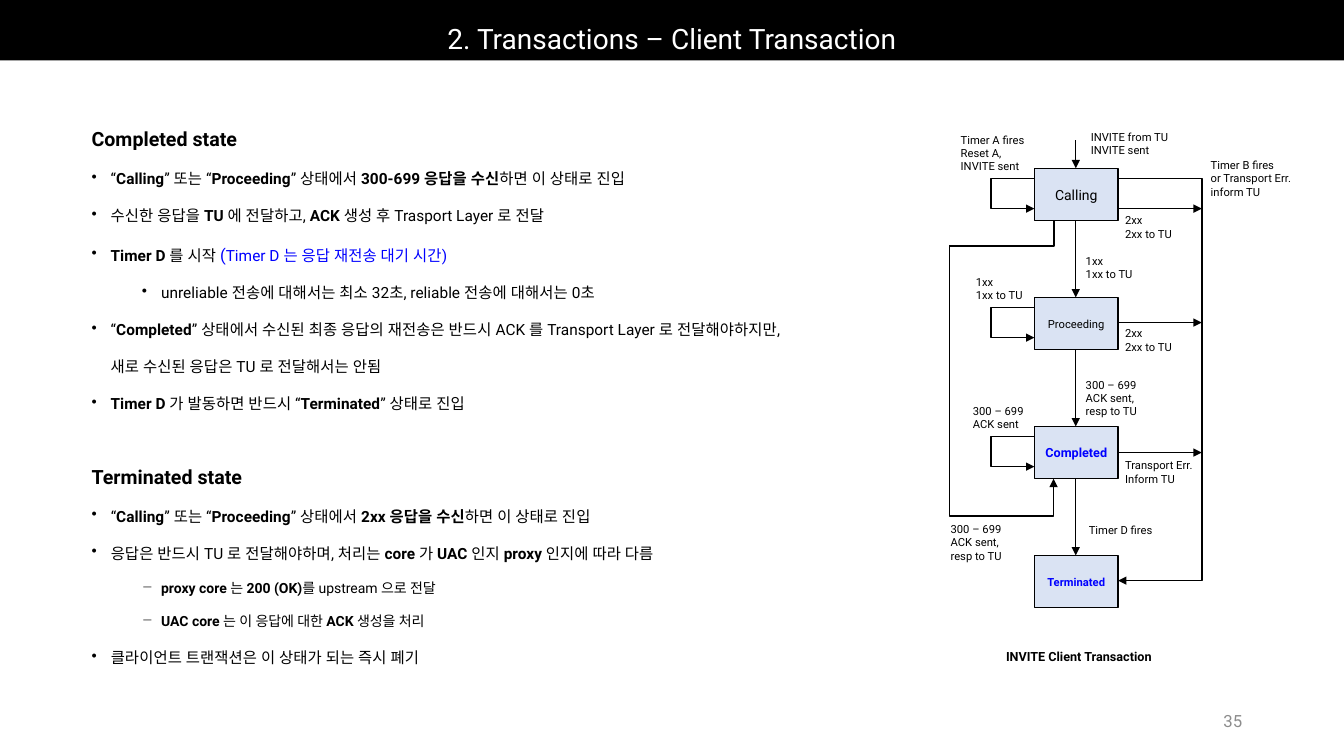
import pptx
import pptx.util
import pptx.dml.color
import pptx.enum.shapes
import pptx.enum.text
import pptx.oxml
from lxml import etree
from pptx.oxml.ns import qn

THEME = {
    "font": "Roboto", "hangul": "Noto Sans CJK KR",
    "black": "000000", "white": "FFFFFF", "blue": "0000FF", "grey": "8C8C8C", "box": "DAE3F3",
    "title": 20, "heading": 14, "body": 11, "detail": 10, "number": 12,
    "label": 8, "caption": 9, "line": 1,
}

TITLE = "2. Transactions – Client Transaction"
CAPTION = "INVITE Client Transaction"
PAGE = "35"

# Bullet style: (left margin, bullet sign, size, font)
BULLETS = {
    "point": (0.19, "•", "body", "font"),
    "sub": (0.69, "•", "body", "font"),
    "dash": (0.69, "−", "detail", "font"),
    "hangul": (0.19, "•", "body", "hangul"),
}
# Stars enclose bold words; further entries are blue runs with their size
SECTIONS = [
    ("Completed state", (0.81, 0.98, 7.27, 3.15), False, [
        ("point", "“*Calling*” 또는 “*Proceeding*” 상태에서 *300-699 응답을 수신*하면 이 상태로 진입"),
        ("point", "수신한 응답을 *TU *에 전달하고, *ACK *생성 후 Trasport Layer 로 전달"),
        ("point", "*Timer D *를 시작 ", ("(", "number"), ("Timer D 는 응답 재전송 대기 시간)", "body")),
        ("sub", "unreliable 전송에 대해서는 최소 32초, reliable 전송에 대해서는 0초"),
        ("point", "“*Completed*” 상태에서 수신된 최종 응답의 재전송은 반드시 ACK 를 "
                  "Transport Layer 로 전달해야하지만,\n새로 수신된 응답은 TU 로 전달해서는 안됨"),
        ("point", "*Timer D *가 발동하면 반드시 “*Terminated*” 상태로 진입"),
    ]),
    ("Terminated state", (0.81, 4.33, 5.99, 2.38), True, [
        ("point", "“*Calling*” 또는 “*Proceeding*” 상태에서 *2xx 응답을 수신*하면 이 상태로 진입"),
        ("point", "응답은 반드시 TU 로 전달해야하며, 처리는 *core *가 *UAC *인지 *proxy *인지에 따라 다름"),
        ("dash", "*proxy core *는 *200 (OK)*를 upstream 으로 전달"),
        ("dash", "*UAC core *는 이 응답에 대한 *ACK *생성을 처리"),
        ("hangul", "클라이언트 트랜잭션은 이 상태가 되는 즉시 폐기"),
    ]),
]

# (name, size, colour, bold), from top to bottom
STATES = [
    ("Calling", "detail", "black", False),
    ("Proceeding", "label", "black", False),
    ("Completed", "caption", "blue", True),
    ("Terminated", "label", "blue", True),
]
# (left, top, width, lines)
LABELS = [
    (10.72, 1.24, 0.98, ["INVITE from TU", "INVITE sent"]),
    (9.43, 1.27, 0.85, ["Timer A fires", "Reset A,", "INVITE sent"]),
    (10.67, 2.47, 0.68, ["1xx", "1xx to TU"]),
    (9.58, 2.68, 0.68, ["1xx", "1xx to TU"]),
    (10.67, 3.7, 0.72, ["300 – 699", "ACK sent,", "resp to TU"]),
    (10.7, 5.14, 0.85, ["Timer D fires"]),
    (9.55, 3.96, 0.71, ["300 – 699", "ACK sent"]),
    (11.91, 1.52, 1.02, ["Timer B fires", "or Transport Err.", "inform TU"]),
    (11.06, 2.07, 0.68, ["2xx", "2xx to TU"]),
    (11.06, 3.19, 0.68, ["2xx", "2xx to TU"]),
    (11.06, 4.5, 0.89, ["Transport Err.", "Inform TU"]),
    (9.33, 5.13, 0.72, ["300 – 699", "ACK sent,", "resp to TU"]),
]

# Columns and rows of the state diagram
BOX_LEFT, BOX_WIDTH, BOX_HEIGHT = 10.26, 0.83, 0.52
BOX_RIGHT = BOX_LEFT + BOX_WIDTH
ROWS = [1.67 + 1.28 * row for row in range(len(STATES))]
FLOW_X, BYPASS_X, DETOUR_X, EXIT_X = 10.67, 10.45, 9.42, 11.92
LOOP_DROP, LOOP_HEIGHT = 0.1, 0.3
EXIT_ROWS = [2.07, 3.2, 4.49]

Inches = pptx.util.Inches
Align = pptx.enum.text.PP_ALIGN
Anchor = pptx.enum.text.MSO_ANCHOR
Kind = pptx.enum.shapes.MSO_CONNECTOR


def colour(name):
    return pptx.dml.color.RGBColor.from_string(THEME[name])


def add_run(paragraph, text, size, ink="black", bold=False, font="font"):
    """Add one run; a line feed in the text becomes a line break."""
    for index, part in enumerate(text.split("\n")):
        if index:
            paragraph.add_line_break()
        run = paragraph.add_run()
        run.text = part
        run.font.size = pptx.util.Pt(THEME[size])
        run.font.name = THEME[font]
        run.font.bold = bold
        run.font.color.rgb = colour(ink)
        etree.SubElement(run.font._element, qn("a:ea"), typeface=THEME["font"])


def add_text(slide, place, wrap=False):
    frame = slide.shapes.add_textbox(*map(Inches, place)).text_frame
    frame.word_wrap = wrap
    frame.auto_size = pptx.enum.text.MSO_AUTO_SIZE.SHAPE_TO_FIT_TEXT
    return frame


def add_box(slide, place, fill, outline=None):
    box = slide.shapes.add_shape(pptx.enum.shapes.MSO_SHAPE.RECTANGLE, *map(Inches, place))
    box.shadow.inherit = False
    box.fill.solid()
    box.fill.fore_color.rgb = colour(fill)
    if outline:
        box.line.color.rgb = colour(outline)
        box.line.width = pptx.util.Pt(THEME["line"])
    else:
        box.line.fill.background()
    box.text_frame.word_wrap = True
    paragraph = box.text_frame.paragraphs[0]
    paragraph.alignment = Align.CENTER
    return box.text_frame, paragraph


def add_line(slide, start, end, bends=(), turned=False, arrow=True):
    """Join two points; bends are shares of the span, turned leaves the start vertically."""
    if turned:
        mid_x, mid_y = (start[0] + end[0]) / 2, (start[1] + end[1]) / 2
        start, end = [(mid_x - (y - mid_y), mid_y + (x - mid_x)) for x, y in (start, end)]
    kind = Kind.ELBOW if bends else Kind.STRAIGHT
    line = slide.shapes.add_connector(kind, *map(Inches, (*start, *end)))
    line.line.color.rgb = colour("black")
    line.line.width = pptx.util.Pt(THEME["line"])
    properties = line._element.spPr
    if turned:
        properties.find(qn("a:xfrm")).set("rot", str(270 * 60000))
    if bends:
        geometry = properties.find(qn("a:prstGeom"))
        geometry.set("prst", f"bentConnector{len(bends) + 2}")
        guides = geometry.find(qn("a:avLst"))
        for number, share in enumerate(bends, 1):
            etree.SubElement(guides, qn("a:gd"), name=f"adj{number}",
                             fmla=f"val {round(share * 100000)}")
    if arrow:
        etree.SubElement(line.line._get_or_add_ln(), qn("a:tailEnd"), type="triangle")
    etree.SubElement(properties, qn("a:effectLst"))


def add_section(slide, heading, place, wrap, points):
    frame = add_text(slide, place, wrap)
    frame.paragraphs[0].line_spacing = 2.0
    add_run(frame.paragraphs[0], heading, "heading", bold=True)
    for style, text, *notes in points:
        margin, sign, size, font = BULLETS[style]
        paragraph = frame.add_paragraph()
        paragraph.line_spacing = 2.0
        paragraph.level = int(margin > 0.5)
        layout = paragraph._p.get_or_add_pPr()
        layout.set("marL", str(Inches(margin)))
        layout.set("indent", str(Inches(-0.19)))
        etree.SubElement(layout, qn("a:buChar"), char=sign)
        for index, part in enumerate(text.split("*")):
            if part:
                add_run(paragraph, part, size, bold=index % 2 == 1, font=font)
        for note, note_size in notes:
            add_run(paragraph, note, note_size, "blue")


def add_diagram(slide):
    calling, proceeding, completed, terminated = ROWS
    add_line(slide, (DETOUR_X, 2.43), (BYPASS_X, completed + BOX_HEIGHT), [1.16], turned=True)
    add_line(slide, (BOX_RIGHT, 1.93), (DETOUR_X, 2.44), [0.38], arrow=False)
    for y in EXIT_ROWS:
        add_line(slide, (BOX_LEFT, y), (EXIT_X, y))
    add_line(slide, (BOX_LEFT, calling + LOOP_DROP), (BOX_RIGHT, terminated + 0.25),
             [0, 2], turned=True)
    for top in ROWS[:-1]:
        add_line(slide, (BOX_RIGHT, top + LOOP_DROP),
                 (BOX_LEFT, top + LOOP_DROP + LOOP_HEIGHT), [1.52])
    for above, top in zip([1.39 - BOX_HEIGHT] + ROWS, ROWS):
        add_line(slide, (FLOW_X, above + BOX_HEIGHT), (FLOW_X, top))
    for top, (name, size, ink, bold) in zip(ROWS, STATES):
        frame, paragraph = add_box(slide, (BOX_LEFT, top, BOX_WIDTH, BOX_HEIGHT), "box", "black")
        frame.vertical_anchor = Anchor.MIDDLE
        frame.margin_left = frame.margin_right = 0
        add_run(paragraph, name, size, ink, bold)
    for left, top, width, lines in LABELS:
        frame = add_text(slide, (left, top, width, 0.11 + 0.13 * len(lines)))
        for index, text in enumerate(lines):
            paragraph = frame.add_paragraph() if index else frame.paragraphs[0]
            add_run(paragraph, text, "label")
    caption = add_text(slide, (9.88, 6.39, 1.67, 0.25))
    add_run(caption.paragraphs[0], CAPTION, "caption", bold=True)


def main():
    deck = pptx.Presentation()
    deck.slide_width, deck.slide_height = Inches(13.33), Inches(7.5)
    slide = deck.slides.add_slide(deck.slide_layouts[6])
    frame, paragraph = add_box(slide, (0, 0, 13.33, 0.6), "black")
    frame.vertical_anchor = Anchor.BOTTOM
    paragraph.line_spacing = 0.9
    add_run(paragraph, TITLE, "title", "white")
    add_diagram(slide)
    for section in SECTIONS:
        add_section(slide, *section)
    number = slide.shapes.add_textbox(*map(Inches, (9.42, 6.95, 3, 0.4))).text_frame
    number.word_wrap = True
    number.vertical_anchor = Anchor.MIDDLE
    number.paragraphs[0].alignment = Align.RIGHT
    add_run(number.paragraphs[0], PAGE, "number", "grey")
    deck.save("out.pptx")


if __name__ == "__main__":
    main()
